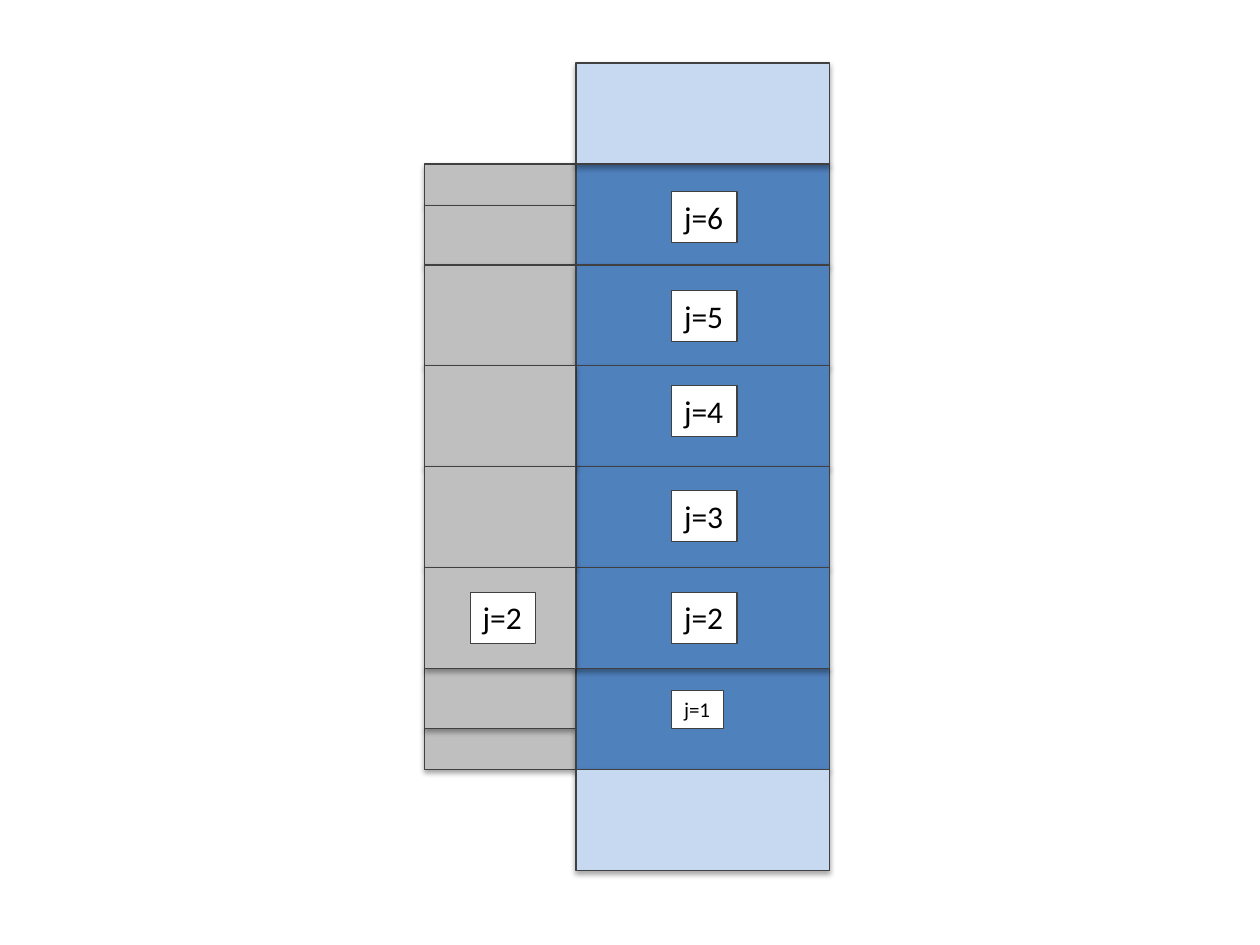
from lxml import etree
from pptx import Presentation
from pptx.dml.color import RGBColor
from pptx.enum import shapes, text
from pptx.oxml import ns
from pptx.util import Cm, Pt

THEME = {
    "gray": "BFBFBF", "blue": "4F81BD", "pale": "C6D9F1", "label": "FFFFFF",
    "line": "404040", "text": "000000", "shadow": "000000",
    "font": "Calibri", "large": 18, "small": 12,
}

# Left edge and width of each column, in cm
COLUMNS = {"gray": (8.56, 3.05), "blue": (11.61, 5.11), "pale": (11.61, 5.11)}
STACK_TOP, STACK_HEIGHT, ROW_COUNT = 1.27, 16.28, 8
ROW_HEIGHT = STACK_HEIGHT / ROW_COUNT
THIN = 0.41  # share of a row taken by the thin end cell

# Column, first row and height in rows, from back to front
CELLS = [
    ("gray", 1, THIN), ("gray", 1 + THIN, 1 - THIN), ("blue", 1, 1),
    ("gray", 7 - THIN, THIN), ("gray", 6, 1 - THIN), ("blue", 6, 1),
    ("gray", 2, 1), *[("blue", row, 1) for row in range(2, 6)],
    *[("gray", row, 1) for row in range(3, 6)],
]
END_CELLS = [("pale", 0, 1), ("pale", 7, 1)]

# Wording, left, top and type size
LABEL_LEFT = 13.54
LABELS = [
    ("j=2", LABEL_LEFT, 11.94, "large"), ("j=1", LABEL_LEFT, 13.92, "small"),
    ("j=3", LABEL_LEFT, 9.89, "large"), ("j=4", LABEL_LEFT, 7.77, "large"),
    ("j=5", LABEL_LEFT, 5.86, "large"), ("j=6", LABEL_LEFT, 3.86, "large"),
]
GRAY_LABELS = [("j=2", 9.48, 11.94, "large")]
LABEL_SIZES = {"large": (1.32, 1.03), "small": (1.05, 0.77)}


def add_box(slide, box, color):
    """Add an outlined, filled rectangle; box is given in cm."""
    shape = slide.shapes.add_shape(
        shapes.MSO_SHAPE.RECTANGLE, *[Cm(length) for length in box])
    shape.shadow.inherit = False
    shape.fill.solid()
    shape.fill.fore_color.rgb = RGBColor.from_string(THEME[color])
    shape.line.color.rgb = RGBColor.from_string(THEME["line"])
    shape.line.width = Pt(0.75)
    return shape


def add_shadow(shape):
    """Give a shape a soft shadow falling straight down."""
    effects = shape._element.spPr.find(ns.qn("a:effectLst"))
    shadow = etree.SubElement(
        effects, ns.qn("a:outerShdw"), blurRad="40000", dist="23000",
        dir="5400000", rotWithShape="0")
    color = etree.SubElement(shadow, ns.qn("a:srgbClr"), val=THEME["shadow"])
    etree.SubElement(color, ns.qn("a:alpha"), val="35000")


def add_cells(slide, cells):
    """Add cells of the stacked columns."""
    for column, row, rows in cells:
        left, width = COLUMNS[column]
        top = STACK_TOP + row * ROW_HEIGHT
        add_shadow(add_box(slide, (left, top, width, rows * ROW_HEIGHT), column))


def add_labels(slide, labels):
    """Add white index labels that fit their text."""
    for wording, left, top, size in labels:
        shape = add_box(slide, (left, top, *LABEL_SIZES[size]), "label")
        frame = shape.text_frame
        frame.text = wording
        frame.word_wrap = False
        frame.auto_size = text.MSO_AUTO_SIZE.SHAPE_TO_FIT_TEXT
        frame.vertical_anchor = text.MSO_ANCHOR.TOP
        paragraph = frame.paragraphs[0]
        paragraph.alignment = text.PP_ALIGN.LEFT
        font = paragraph.runs[0].font
        font.name = THEME["font"]
        font.size = Pt(THEME[size])
        font.color.rgb = RGBColor.from_string(THEME["text"])


def main():
    """Build the slide and save it."""
    presentation = Presentation()
    presentation.slide_width, presentation.slide_height = Cm(25.4), Cm(19.05)
    slide = presentation.slides.add_slide(presentation.slide_layouts[6])
    add_cells(slide, CELLS)
    add_labels(slide, LABELS)
    add_cells(slide, END_CELLS)
    add_labels(slide, GRAY_LABELS)
    presentation.save("out.pptx")


main()
